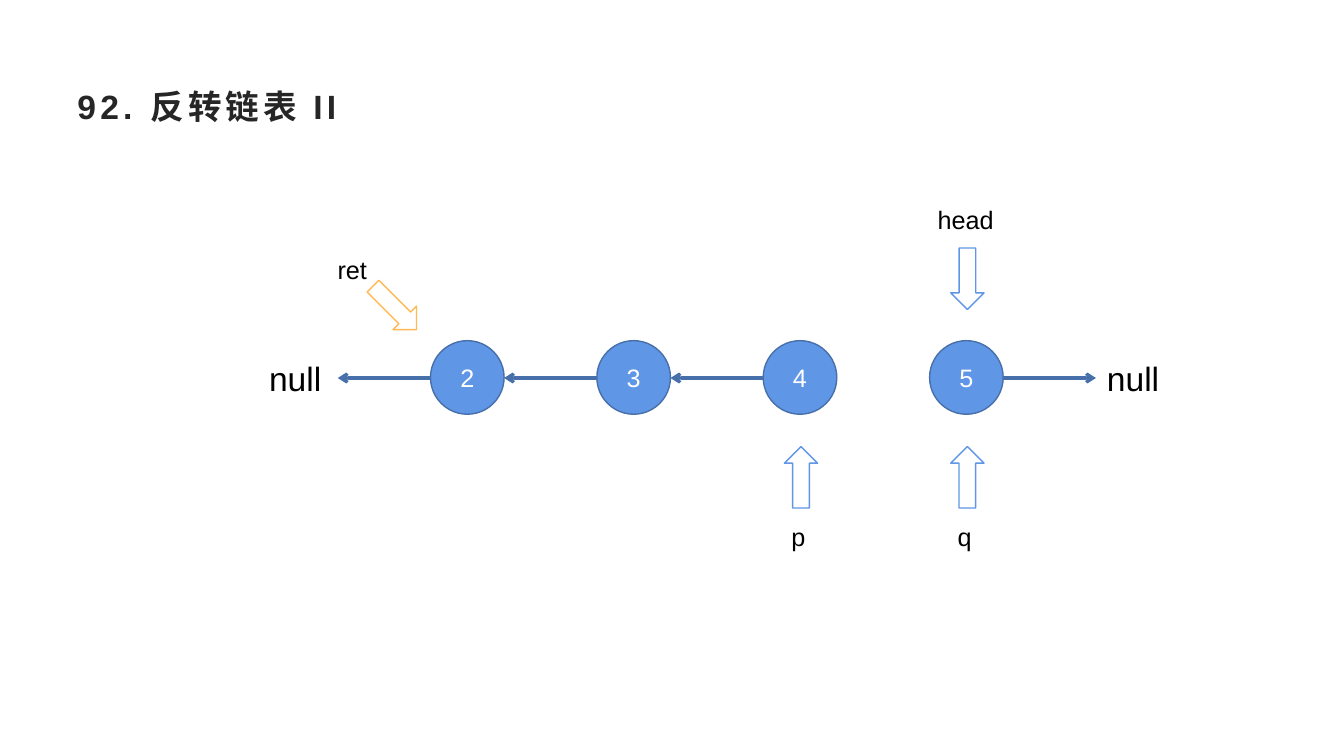
from pptx import Presentation
from pptx.dml.color import RGBColor
from pptx.enum.shapes import MSO_CONNECTOR, MSO_SHAPE
from pptx.enum.text import MSO_ANCHOR, PP_ALIGN
from pptx.oxml.ns import qn
from pptx.util import Pt
from lxml.etree import SubElement

PX = 9144
FONT = "Arial"
BLUE, EDGE, ORANGE = "6096E6", "476FAA", "FFBA55"
WHITE, BLACK, TITLE = "FFFFFF", "000000", "262626"
NODE, STEP, LINK = 73, 165, 92


def px(*lengths):
    return [n * PX for n in lengths]


def color(hex_string):
    return RGBColor.from_string(hex_string)


def add_run(tf, text, size, ink):
    r = tf.paragraphs[0].add_run()
    r.text = text
    r.font.name = FONT
    r.font.size = Pt(size)
    r.font.color.rgb = color(ink)
    return r


def add_text(shapes, box, text, size, ink=BLACK):
    tf = shapes.add_textbox(*px(*box)).text_frame
    tf.word_wrap = True
    return tf, add_run(tf, text, size, ink)


def add_outlined(shapes, kind, box, fill, line):
    sp = shapes.add_shape(kind, *px(*box))
    sp.shadow.inherit = False
    sp.fill.solid()
    sp.fill.fore_color.rgb = color(fill)
    sp.line.color.rgb = color(line)
    sp.line.width = Pt(1)
    return sp


def add_title(s, box, text):
    tf, r = add_text(s.shapes, box, text, 24, TITLE)
    tf.vertical_anchor = MSO_ANCHOR.MIDDLE
    r.font.bold = True
    r.font._element.set("spc", "300")


def add_node(s, x, y, text):
    sp = add_outlined(s.shapes, MSO_SHAPE.OVAL, (x, y, NODE, NODE), BLUE, EDGE)
    tf = sp.text_frame
    tf.vertical_anchor = MSO_ANCHOR.MIDDLE
    tf.paragraphs[0].alignment = PP_ALIGN.CENTER
    add_run(tf, text, 18, WHITE)


def add_link(s, x, y, dx):
    cxn = s.shapes.add_connector(MSO_CONNECTOR.STRAIGHT, *px(x, y, x + dx, y))
    cxn.line.color.rgb = color(EDGE)
    cxn.line.width = Pt(2.25)
    SubElement(cxn.line._get_or_add_ln(), qn("a:tailEnd"), type="arrow")
    SubElement(cxn._element.spPr, qn("a:effectLst"))


def add_pointer(s, x, y, text, arrow, label, rotation=0, line=BLUE):
    group = s.shapes.add_group_shape()
    dx, dy = arrow
    sp = add_outlined(group.shapes, MSO_SHAPE.UP_ARROW, (x + dx, y + dy, 33, 61), WHITE, line)
    sp.rotation = rotation
    dx, dy, width = label
    add_text(group.shapes, (x + dx, y + dy, width, 40), text, 18)


def add_linked_list(s, x, y, values):
    lefts = [x + i * STEP for i in range(len(values))]
    middle = y + NODE // 2 + 1
    for left, value in zip(lefts, values):
        add_node(s, left, y, value)
    for left in lefts[:-1]:
        add_link(s, left, middle, -LINK)
    add_link(s, lefts[-1] + NODE, middle, LINK)
    add_text(s.shapes, (x - LINK - 78, y + 12, 78, 50), "null", 24)
    add_text(s.shapes, (lefts[-1] + NODE + LINK + 1, y + 12, 121, 50), "null", 24)

    add_pointer(s, lefts[-1], y, "head", (21, -92), (-2, -140, 79), 180)
    for left, name in zip(lefts[-2:], "pq"):
        add_pointer(s, left, y, name, (21, 105), (18, 174, 39))
    add_pointer(s, x, y, "ret", (-52, -63), (-102, -91, 51), 135, ORANGE)


def main():
    prs = Presentation()
    prs.slide_width, prs.slide_height = px(1333, 750)
    s = prs.slides.add_slide(prs.slide_layouts[6])
    add_title(s, (67, 67, 1200, 77), "92. 反转链表 II")
    add_linked_list(s, 427, 338, "2345")
    prs.save("out.pptx")


if __name__ == "__main__":
    main()
